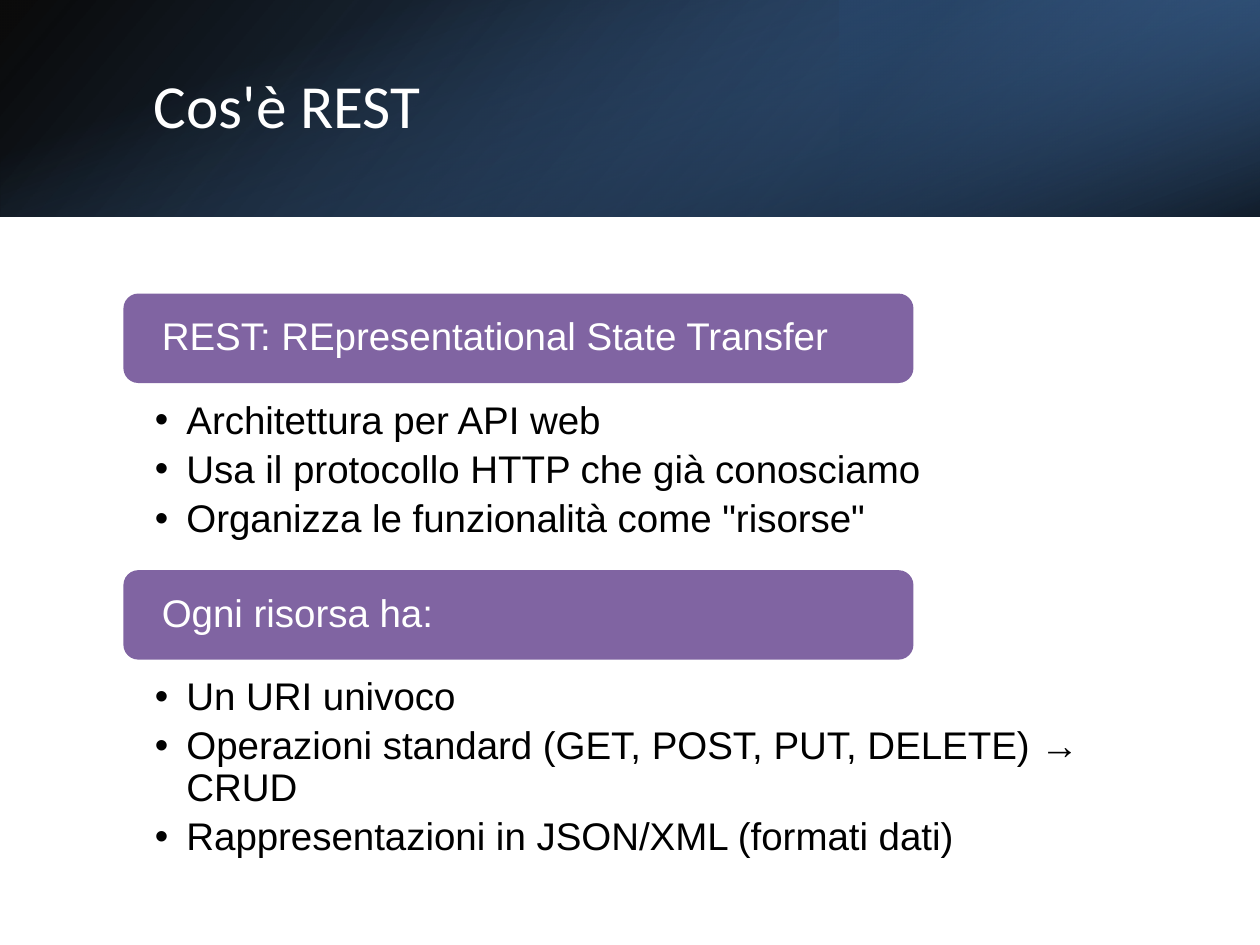
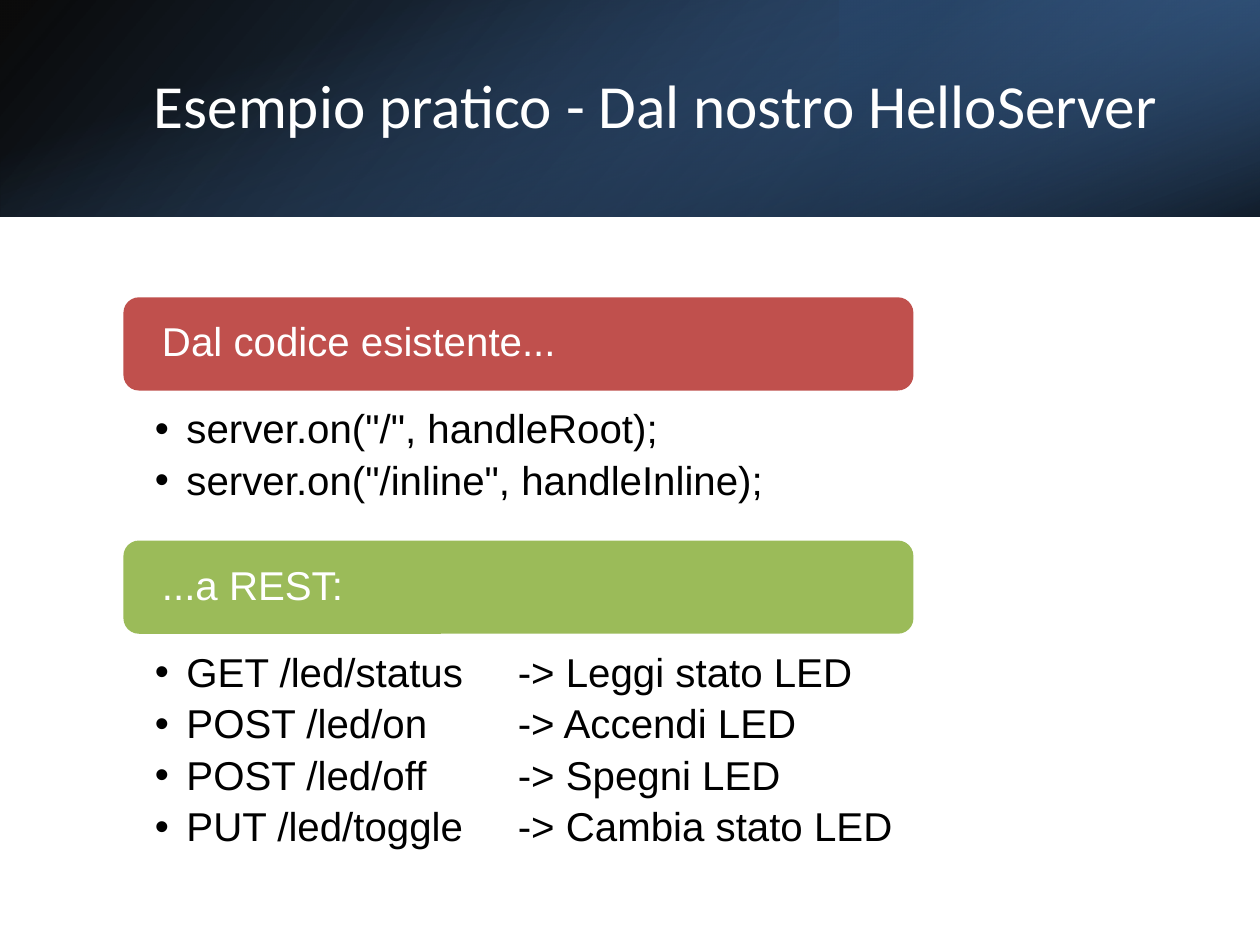
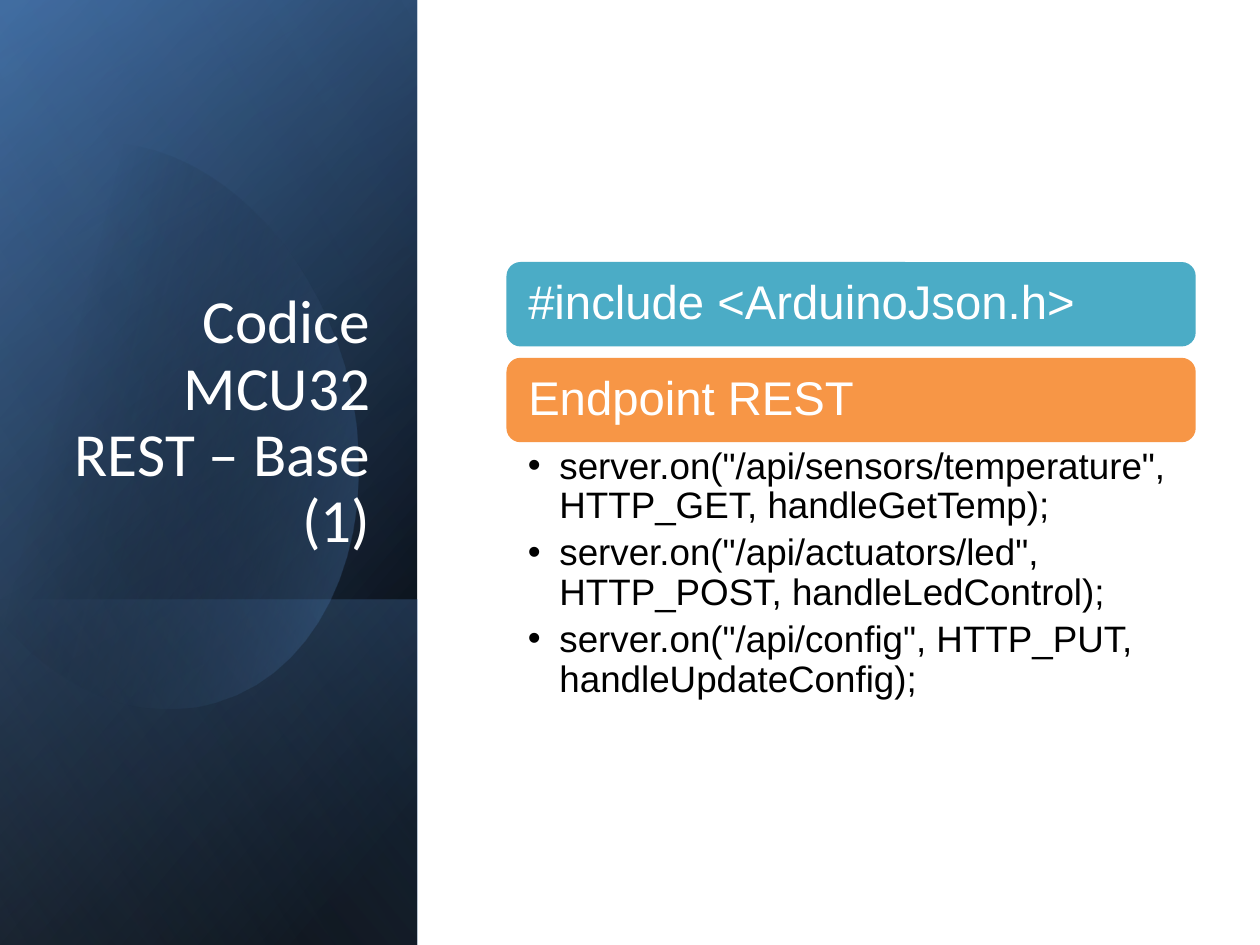
from lxml.etree import SubElement
from pptx import Presentation
from pptx.dml.color import RGBColor
from pptx.enum.shapes import MSO_SHAPE
from pptx.enum.text import MSO_ANCHOR, MSO_AUTO_SIZE, PP_ALIGN
from pptx.oxml.ns import qn
from pptx.util import Inches, Pt

COLUMNS, ROWS = 100, 75
BAND_ROWS, SIDE_COLUMNS = 17.2, 33.1
BLACK, WHITE = "000000", "FFFFFF"
NAVY, DEEP_BLUE, BLUE, PALE_BLUE = "254061", "376092", "4F81BD", "95B3D7"
PURPLE, RED, GREEN, TEAL, ORANGE = "8064A2", "C0504D", "9BBB59", "4BACC6", "F79646"
TITLE_FONT, BODY_FONT = "Calibri", "Arial"
SECTION_GAP = 1.3
BULLET_INDENT = 2.5


def grid(units):
    """Turn grid columns or rows into a length."""
    return Inches(units / 10)


def color(value):
    """Turn a hex string into a colour."""
    return RGBColor.from_string(value)


def plain(shape):
    """Remove the shadow and outline of a shape."""
    shape.shadow.inherit = False
    shape.line.fill.background()


def fill_gradient(shape, stops, angle):
    """Fill a shape with a linear gradient of (position, colour, opacity) stops."""
    shape.fill.background()
    properties = shape.fill._xPr
    empty = properties.find(qn("a:noFill"))
    gradient = SubElement(properties, qn("a:gradFill"), rotWithShape="1")
    properties.replace(empty, gradient)
    stop_list = SubElement(gradient, qn("a:gsLst"))
    for position, value, opacity in stops:
        stop = SubElement(stop_list, qn("a:gs"), pos=str(position * 1000))
        tone = SubElement(stop, qn("a:srgbClr"), val=value)
        SubElement(tone, qn("a:alpha"), val=str(opacity * 1000))
    SubElement(gradient, qn("a:lin"), ang=str(angle * 60000), scaled="0")


def add_band(page, area, stops, angle, turn=0, flip=True):
    """Cover a visible area with a gradient rectangle, turned and flipped."""
    left, top, width, height = area
    if turn % 180:
        left, top = left + (width - height) / 2, top + (height - width) / 2
        width, height = height, width
    band = page.shapes.add_shape(MSO_SHAPE.RECTANGLE, *map(grid, (left, top, width, height)))
    plain(band)
    fill_gradient(band, stops, angle)
    band.rotation = turn
    if flip:
        band._element.spPr.find(qn("a:xfrm")).set("flipH", "1")


def curve_points(start, curves, steps=16):
    """List the points along a chain of cubic curves."""
    points = []
    for first, second, end in curves:
        for step in range(1, steps + 1):
            t = step / steps
            weights = ((1 - t) ** 3, 3 * t * (1 - t) ** 2, 3 * t * t * (1 - t), t ** 3)
            points.append(tuple(
                sum(weight * point[axis] for weight, point in zip(weights, (start, first, second, end)))
                for axis in (0, 1)))
        start = end
    return points


def add_glow(page):
    """Draw the translucent rounded outline on the side band."""
    start = (9.6, 11.4)
    right = curve_points(start, [
        ((17.1, 12.2), (24.4, 19.2), (27.3, 29)),
        ((30.7, 41.2), (26.2, 53.1), (17.1, 55.7)),
        ((11.4, 57.4), (5.3, 55), (0.7, 50))])
    corner = (-1.5, 15.4)
    left = curve_points(corner, [
        ((0.2, 13.7), (2.2, 12.5), (4.5, 11.8)),
        ((6.2, 11.3), (7.9, 11.2), start)])
    outline = right + [(-0.3, 48.8), (-2.5, 16.6), corner] + left
    builder = page.shapes.build_freeform(*map(grid, start))
    builder.add_line_segments([(grid(x), grid(y)) for x, y in outline])
    glow = builder.convert_to_shape()
    plain(glow)
    fill_gradient(glow, [(29, BLACK, 0), (100, BLUE, 43)], 14)


def add_top_band(page):
    """Draw the dark band across the top."""
    whole = (0, 0, COLUMNS, BAND_ROWS)
    end = (COLUMNS * 2 / 3, 0, COLUMNS / 3, BAND_ROWS)
    add_band(page, whole, [(0, BLACK, 96), (100, DEEP_BLUE, 100)], 140)
    add_band(page, end, [(19, NAVY, 68), (100, BLUE, 79)], 320, turn=180)
    add_band(page, whole, [(23, BLUE, 0), (99, BLACK, 74)], 340, turn=90, flip=False)


def add_side_band(page):
    """Draw the dark band down the left side."""
    whole = (0, 0, SIDE_COLUMNS, ROWS)
    foot = (0, 47.6, SIDE_COLUMNS, ROWS - 47.6)
    add_band(page, whole, [(8, BLACK, 100), (100, DEEP_BLUE, 100)], 50, turn=90)
    add_band(page, whole, [(0, BLACK, 0), (99, BLUE, 46)], 30, turn=90)
    add_band(page, foot, [(2, BLUE, 29), (100, BLACK, 30)], 130, turn=90)
    add_glow(page)
    add_band(page, whole, [(0, BLACK, 0), (99, PALE_BLUE, 11)], 120, turn=90)


def style_paragraph(para, font, size, value, align=PP_ALIGN.LEFT):
    """Set the font, alignment and line spacing of a paragraph."""
    para.font.name, para.font.size = font, Pt(size)
    para.font.color.rgb = color(value)
    para.alignment, para.line_spacing = align, 0.9


def set_frame(frame, margins, anchor):
    """Set wrapping, margins (left, top, right, bottom) and anchor of a text frame."""
    frame.word_wrap, frame.auto_size = True, MSO_AUTO_SIZE.NONE
    frame.vertical_anchor = anchor
    frame.margin_left, frame.margin_top, frame.margin_right, frame.margin_bottom = map(grid, margins)


def add_title(page, text, area, align=PP_ALIGN.LEFT, anchor=MSO_ANCHOR.MIDDLE):
    """Write the title in front of the band."""
    title = page.shapes.title
    title.left, title.top, title.width, title.height = map(grid, area)
    set_frame(title.text_frame, (1, 0.5, 1, 0.5), anchor)
    title.text_frame.text = text
    style_paragraph(title.text_frame.paragraphs[0], TITLE_FONT, 35, WHITE, align)
    page.shapes._spTree.append(title._element)


def add_heading(page, text, area, fill, size, inset):
    """Draw a rounded, coloured heading."""
    box = page.shapes.add_shape(MSO_SHAPE.ROUNDED_RECTANGLE, *map(grid, area))
    plain(box)
    box.fill.solid()
    box.fill.fore_color.rgb = color(fill)
    set_frame(box.text_frame, (inset, 0, inset, 0), MSO_ANCHOR.MIDDLE)
    box.text_frame.text = text
    style_paragraph(box.text_frame.paragraphs[0], BODY_FONT, size, WHITE)


def add_bullets(page, lines, area, size, margins, tab=None):
    """Write a bulleted list, with an optional tab stop."""
    frame = page.shapes.add_textbox(*map(grid, area)).text_frame
    set_frame(frame, margins, MSO_ANCHOR.TOP)
    frame.text = "\n".join(lines)
    for para in frame.paragraphs:
        style_paragraph(para, BODY_FONT, size, BLACK)
        para.space_after = Pt(size * 0.2)
        properties = para._p.pPr
        properties.set("marL", str(grid(BULLET_INDENT)))
        properties.set("indent", str(-grid(BULLET_INDENT)))
        font = properties.find(qn("a:defRPr"))
        SubElement(properties, qn("a:buFont"), typeface=BODY_FONT)
        SubElement(properties, qn("a:buChar"), char="•")
        if tab:
            tabs = SubElement(properties, qn("a:tabLst"))
            SubElement(tabs, qn("a:tab"), pos=str(grid(tab)), algn="l")
        properties.append(font)


def add_sections(page, sections, top, heading_rows, size, tab=None):
    """Stack sections, each list starting behind the middle of its heading."""
    for heading, fill, lines, rows in sections:
        list_top = top + heading_rows / 2
        add_bullets(page, lines, (5.3, list_top, 89.6, rows), size,
                    (7, heading_rows * 0.7, 7, 1.7), tab)
        add_heading(page, heading, (9.8, top, 62.7, heading_rows), fill, size, 2.7)
        top = list_top + rows + SECTION_GAP


def add_page(deck, draw_band):
    """Add a title-only slide with its band."""
    page = deck.slides.add_slide(deck.slide_layouts[5])
    draw_band(page)
    return page


def add_section_page(deck, title, *layout, tab=None):
    """Add a slide with a top band and stacked sections."""
    page = add_page(deck, add_top_band)
    add_title(page, title, (11.2, 3.8, 82.4, 9.6))
    add_sections(page, *layout, tab=tab)


def add_code_page(deck):
    """Add the slide with a side band and the endpoint code."""
    page = add_page(deck, add_side_band)
    add_title(page, "Codice MCU32 REST – Base (1)", (4.8, 18.4, 25.6, 26.2),
              PP_ALIGN.RIGHT, MSO_ANCHOR.BOTTOM)
    left, top, width, height, pitch = 40.2, 20.8, 54.7, 6.7, 7.6
    headings = [("#include <ArduinoJson.h>", TEAL), ("Endpoint REST", ORANGE)]
    for index, (text, fill) in enumerate(headings):
        add_heading(page, text, (left, top + index * pitch, width, height), fill, 27, 1.4)
    add_bullets(page, [
        'server.on("/api/sensors/temperature", HTTP_GET, handleGetTemp);',
        'server.on("/api/actuators/led", HTTP_POST, handleLedControl);',
        'server.on("/api/config", HTTP_PUT, handleUpdateConfig);',
    ], (left, top + pitch + height, width, 20.2), 21, (1.7, 0.4, 2.1, 0.4))


def main():
    """Build and save the deck."""
    deck = Presentation()
    deck.slide_width, deck.slide_height = grid(COLUMNS), grid(ROWS)
    add_section_page(deck, "Cos'è REST", [
        ("REST: REpresentational State Transfer", PURPLE, [
            "Architettura per API web",
            "Usa il protocollo HTTP che già conosciamo",
            'Organizza le funzionalità come "risorse"'], 17.1),
        ("Ogni risorsa ha:", PURPLE, [
            "Un URI univoco",
            "Operazioni standard (GET, POST, PUT, DELETE) → CRUD",
            "Rappresentazioni in JSON/XML (formati dati)"], 20.1),
    ], 23.3, 7.1, 22)
    add_section_page(deck, "Esempio pratico - Dal nostro HelloServer", [
        ("Dal codice esistente...", RED, [
            'server.on("/", handleRoot);',
            'server.on("/inline", handleInline);'], 14.3),
        ("...a REST:", GREEN, [
            "GET /led/status\t-> Leggi stato LED",
            "POST /led/on\t-> Accendi LED",
            "POST /led/off\t-> Spegni LED",
            "PUT /led/toggle\t-> Cambia stato LED"], 21.8),
    ], 23.6, 7.4, 23, tab=28.8)
    add_code_page(deck)
    deck.save("out.pptx")


if __name__ == "__main__":
    main()
